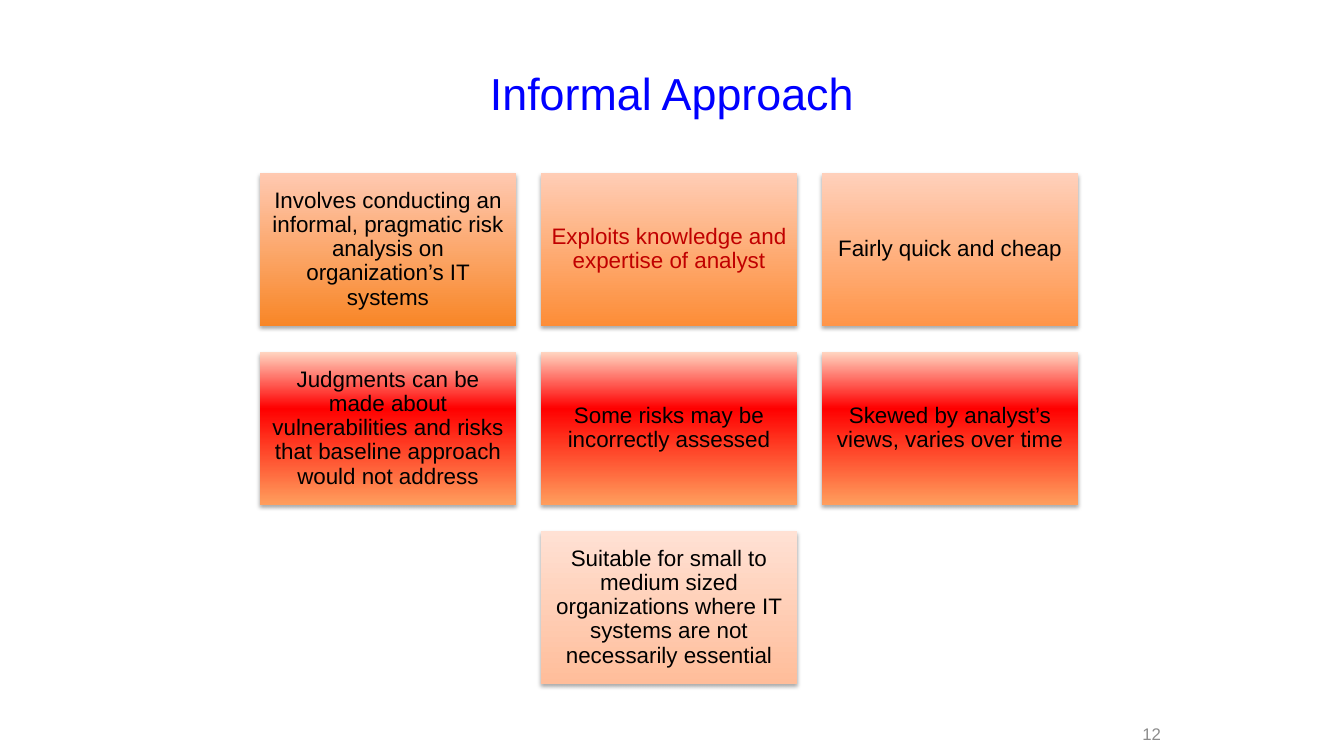
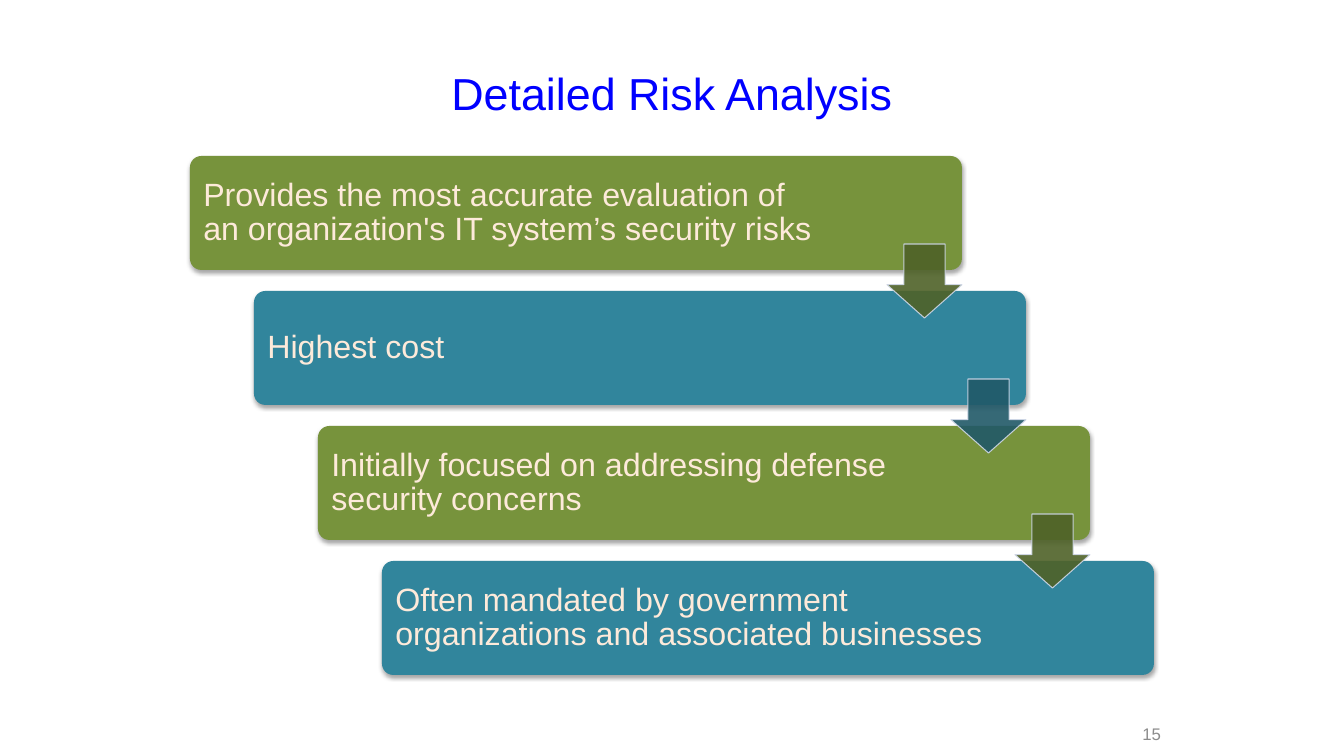
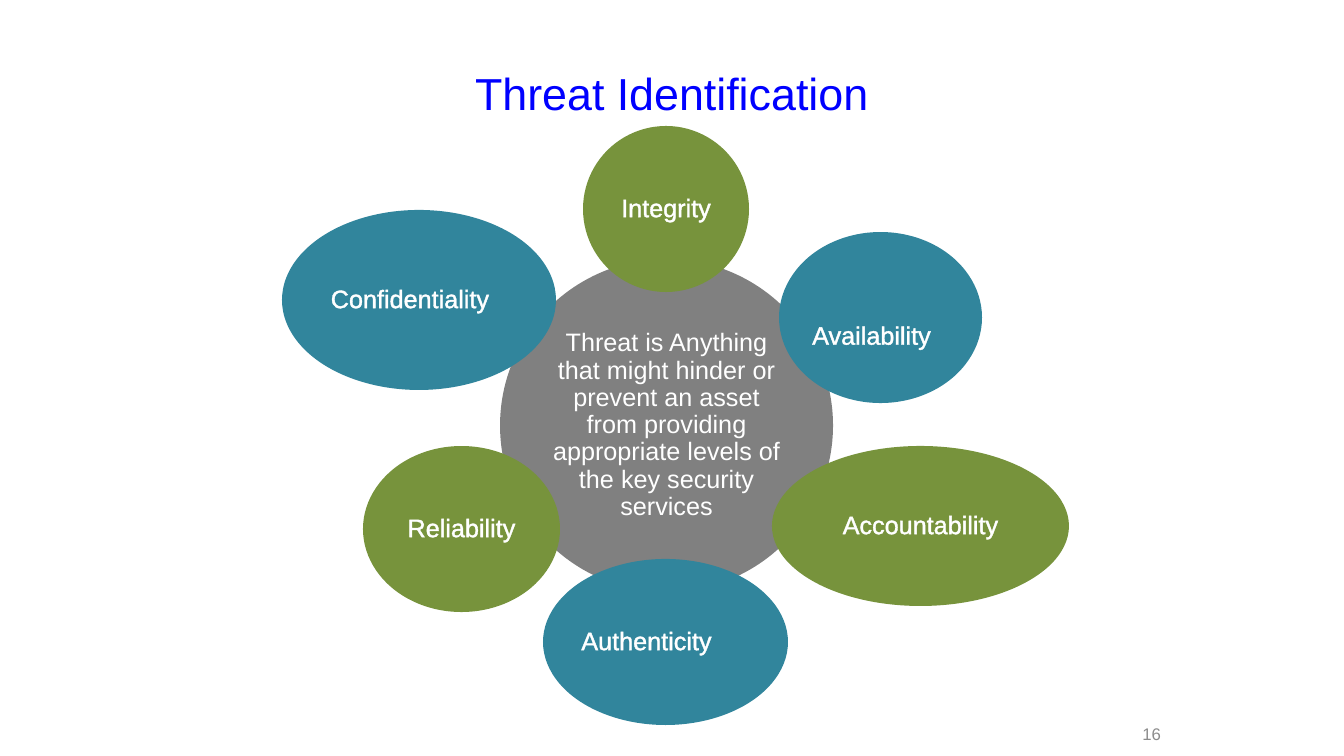
from lxml import etree
from pptx import Presentation
from pptx.dml.color import RGBColor
from pptx.enum.shapes import MSO_SHAPE
from pptx.enum.text import MSO_ANCHOR, PP_ALIGN
from pptx.oxml.ns import qn
from pptx.util import Pt

PX = 9071
RECT, ROUND, OVAL, ARROW = (MSO_SHAPE.RECTANGLE, MSO_SHAPE.ROUNDED_RECTANGLE,
                            MSO_SHAPE.OVAL, MSO_SHAPE.DOWN_ARROW)
LEFT, CENTER, RIGHT = PP_ALIGN.LEFT, PP_ALIGN.CENTER, PP_ALIGN.RIGHT
MIDDLE = MSO_ANCHOR.MIDDLE

C = {
    "title": "0000FF", "number": "8C8C8C", "black": "000000", "white": "FFFFFF",
    "accent": "C00000", "cream": "FDEADA", "green": "77933C", "teal": "31859C",
    "dark_green": "4F6228", "dark_teal": "215968", "edge": "D0D8E8", "gray": "808080",
}
FONTS = {
    "title": {"size": Pt(32), "name": "Arial"},
    "number": {"size": Pt(12), "name": "Arial"},
    "card": {"size": Pt(16), "name": "Arial"},
    "step": {"size": Pt(23), "name": "Arial"},
    "service": {"size": Pt(18), "name": "Arial"},
}


def write(sp, text, style, color, align=CENTER, margins=(10, 5, 10, 5), spacing=0.9):
    tf = sp.text_frame
    frame = {"word_wrap": True, "vertical_anchor": MIDDLE}
    for side, margin in zip(("left", "top", "right", "bottom"), margins):
        frame["margin_" + side] = margin * PX
    for name, value in frame.items():
        setattr(tf, name, value)
    p = tf.paragraphs[0]
    p.alignment, p.line_spacing = align, spacing
    r = p.add_run()
    r.text = text
    for name, value in FONTS[style].items():
        setattr(r.font, name, value)
    r.font.color.rgb = RGBColor.from_string(C[color])
    return r


def draw(s, kind, box, fill=None, shadow=False, adjustments=()):
    sp = s.shapes.add_shape(kind, *[v * PX for v in box])
    for i, value in enumerate(adjustments):
        sp.adjustments[i] = value
    if fill:
        sp.fill.solid()
        sp.fill.fore_color.rgb = RGBColor.from_string(C[fill])
    sp.line.fill.background()
    sp.shadow.inherit = False
    if shadow:
        effects = sp._element.spPr.find(qn("a:effectLst"))
        outer = etree.SubElement(effects, qn("a:outerShdw"), blurRad="39370",
                                 dist="22860", dir="5400000", rotWithShape="0")
        clr = etree.SubElement(outer, qn("a:srgbClr"), val=C["black"])
        etree.SubElement(clr, qn("a:alpha"), val="35000")
    return sp


prs = Presentation()
prs.slide_width, prs.slide_height = 1344 * PX, 756 * PX
slides = []
for title, number in [("Informal Approach", "12"), ("Detailed Risk Analysis", "15"),
                      ("Threat Identification", "16")]:
    s = prs.slides.add_slide(prs.slide_layouts[6])
    for text, style, align, box in [(title, "title", CENTER, (67, 30, 1210, 126)),
                                    (number, "number", RIGHT, (1102, 726, 69, 15))]:
        sp = s.shapes.add_textbox(*[v * PX for v in box])
        write(sp, text, style, style, align, spacing=1.0)
    slides.append(s)
informal, detailed, threat = slides

RED_BLEND = [(0, "FF9E5D"), (63, "FF0000"), (100, "FFD4C0")]
cards = [
    (0, 0, "Involves conducting an informal, pragmatic risk analysis on organization’s IT systems",
     "black", [(0, "F88627"), (100, "FFC9B1")]),
    (0, 1, "Exploits knowledge and expertise of analyst",
     "accent", [(0, "FD8D37"), (100, "FFCDB6")]),
    (0, 2, "Fairly quick and cheap", "black", [(0, "FF9549"), (100, "FFD0BB")]),
    (1, 0, "Judgments can be made about vulnerabilities and risks that baseline approach "
     "would not address", "black", RED_BLEND),
    (1, 1, "Some risks may be incorrectly assessed", "black", RED_BLEND),
    (1, 2, "Skewed by analyst’s views, varies over time", "black", RED_BLEND),
    (2, 1, "Suitable for small to medium sized organizations where IT systems are not "
     "necessarily essential", "black", [(0, "FFBD9A"), (100, "FFE1D4")]),
]
for row, col, text, color, stops in cards:
    sp = draw(informal, RECT, (260 + 281 * col, 173 + 179 * row, 256, 153), shadow=True)
    sp.fill.gradient()
    sp.fill.gradient_angle = 90
    gs_list = sp._element.spPr.find(".//" + qn("a:gsLst"))
    gs_list.clear()
    for position, value in stops:
        gs = etree.SubElement(gs_list, qn("a:gs"), pos=str(position * 1000))
        etree.SubElement(gs, qn("a:srgbClr"), val=value)
    write(sp, text, "card", color, margins=(7, 7, 7, 7))

steps = [
    "Provides the most accurate evaluation of an organization's IT system’s security risks",
    "Highest cost",
    "Initially focused on addressing defense security concerns",
    "Often mandated by government organizations and associated businesses",
]
corners = [(190 + 64 * i, 156 + 135 * i) for i in range(len(steps))]
for i, (text, (x, y)) in enumerate(zip(steps, corners)):
    sp = draw(detailed, ROUND, (x, y, 772, 114), ("green", "teal")[i % 2], True, [0.1])
    write(sp, text, "step", "cream", LEFT, (10, 10, 136, 10))
for i, (x, y) in enumerate(corners[:-1]):
    sp = draw(detailed, ARROW, (x + 697, y + 88, 75, 74),
              ("dark_green", "dark_teal")[i % 2], adjustments=[0.55, 0.45])
    sp.line.color.rgb = RGBColor.from_string(C["edge"])
    sp.line.width = Pt(0.75)
    for clr in sp._element.spPr.iter(qn("a:srgbClr")):
        etree.SubElement(clr, qn("a:alpha"), val="90000")

hub = draw(threat, OVAL, (500, 259, 333, 333), "gray")
write(hub, "Threat is Anything that might hinder or prevent an asset from providing "
      "appropriate levels of the key security services", "service", "white",
      margins=(3, 3, 3, 3))
services = [
    ("Integrity", (583, 126, 166, 166), 0, 0),
    ("Availability", (779, 232, 203, 171), 18, 38),
    ("Accountability", (772, 446, 297, 160), 0, 0),
    ("Authenticity", (543, 559, 245, 166), 38, 0),
    ("Reliability", (363, 446, 197, 166), 0, 0),
    ("Confidentiality", (282, 210, 274, 180), 18, 0),
]
for i, (text, box, right, top) in enumerate(services):
    sp = draw(threat, OVAL, box, ("green", "teal")[i % 2])
    r = write(sp, text, "service", "white", margins=(0, top, right, 0))
    ln = etree.Element(qn("a:ln"), w="18415")
    fill = etree.SubElement(ln, qn("a:solidFill"))
    etree.SubElement(fill, qn("a:srgbClr"), val=C["white"])
    r.font._element.insert(0, ln)

prs.save("out.pptx")
